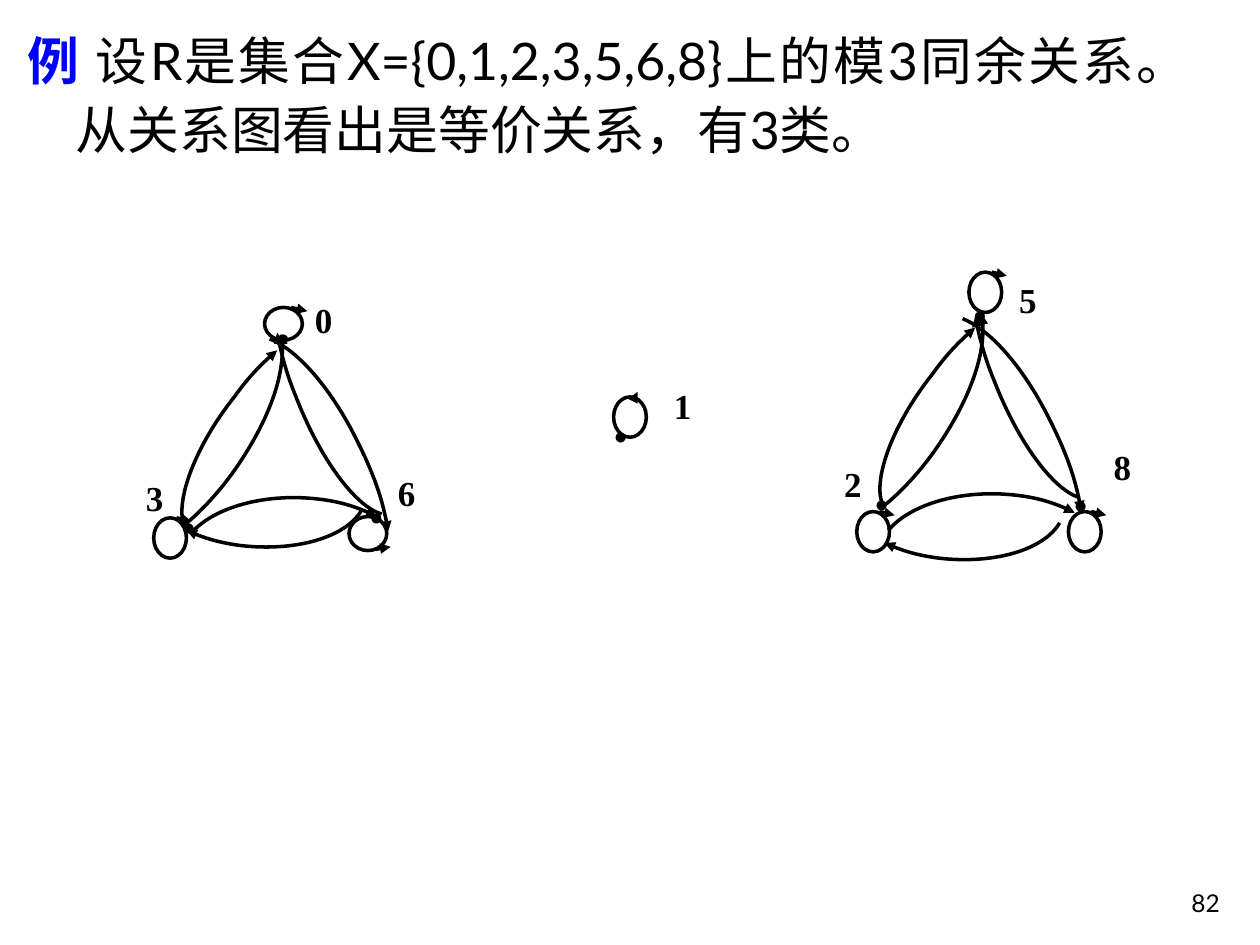
from lxml.etree import SubElement as Sub
from pptx import Presentation
from pptx.dml.color import RGBColor
from pptx.enum.lang import MSO_LANGUAGE_ID as Lang
from pptx.enum.shapes import MSO_SHAPE as Kind
from pptx.enum.text import MSO_ANCHOR as Anchor, MSO_AUTO_SIZE as Auto, PP_ALIGN as Align
from pptx.oxml.ns import qn
from pptx.util import Cm, Pt

BLACK, BLUE = "000000", "0000FF"
TOP = (0.18, 0, 0.3, 0.03)
WIDE = (0.21, 0, 0.34, 0.03)
LOW = (0.21, 0.26, 0.33, 0.24)
RISE = (0.17, 0, 0.19, -0.04)
EDGES = [
    [(0.4, 1.85), (0.56, 1.72), (0.73, 1.53), (0.87, 1.31), (1.1, 0.95), (1.22, 0.56), (1.17, 0.33)],
    [(0.4, 1.85), (0.33, 1.65), (0.49, 1.22), (0.8, 0.83), (0.9, 0.69), (1.02, 0.56), (1.14, 0.46)],
    [(0.45, 1.92), (0.61, 1.73), (0.95, 1.62), (1.32, 1.63), (1.55, 1.64), (1.76, 1.69), (1.93, 1.78)],
    [(1.81, 1.73), (1.68, 1.95), (1.28, 2.06), (0.85, 2.01), (0.7, 1.99), (0.55, 1.95), (0.42, 1.89)],
    [(1.08, 0.37), (1.31, 0.46), (1.58, 0.78), (1.78, 1.19), (1.9, 1.43), (1.99, 1.68), (2.02, 1.9)],
    [(1.97, 1.76), (1.76, 1.7), (1.48, 1.32), (1.29, 0.83), (1.22, 0.66), (1.17, 0.48), (1.14, 0.32)],
]
LEFT = [
    ("0", (1.34, 0), (1.04, 0.14), (1.04, 0.12, 0.3, 0.26), WIDE),
    ("3", (0, 1.41), (0.29, 1.64), (0.16, 1.79, 0.26, 0.32), TOP),
    ("6", (2, 1.37), (1.78, 1.56), (1.71, 1.78, 0.3, 0.27), LOW),
]
MID = [("1", (0.47, 0), (0, 0.24), (0.09, 0.15, 0.26, 0.32), RISE)]
RIGHT = [
    ("5", (1.39, 0), (1.03, 0.12), (1.09, 0, 0.26, 0.32), TOP),
    ("2", (0, 1.46), (0.25, 1.62), (0.2, 1.9, 0.26, 0.32), TOP),
    ("8", (2.14, 1.33), (1.83, 1.63), (1.88, 1.9, 0.26, 0.32), TOP),
]
EVEN = [(0, 0)] * 6
SHIFT = [(0.02, 0), (0, -0.02), (0, 0.13), (0, 0.26), (-0.04, 0), (0, 0.03)]


def size(val):
    """Turn inches into a length."""
    return Cm(val * 2.54)


def tint(code):
    """Turn a hex string into a colour."""
    return RGBColor.from_string(code)


def add_run(para, text, pts, face, code=BLACK, bold=False):
    """Add one styled run to a paragraph."""
    run = para.add_run()
    run.text = text
    font = run.font
    font.size, font.name, font.bold = Pt(pts), face, bold
    font.color.rgb = tint(code)
    font.language_id = Lang.SIMPLIFIED_CHINESE


def add_text(slide, box, text, pts, face, bold=True, align=Align.JUSTIFY):
    """Add a text box with one run and return its frame."""
    frame = slide.shapes.add_textbox(*map(size, box)).text_frame
    frame.word_wrap = True
    para = frame.paragraphs[0]
    para.alignment = align
    add_run(para, text, pts, face, bold=bold)
    return frame


def ink(shape):
    """Give a shape a plain black outline."""
    shape.shadow.inherit = False
    shape.fill.background()
    shape.line.color.rgb = tint(BLACK)
    shape.line.width = Pt(2)


def add_curve(slide, pts):
    """Draw a chain of cubic curves that ends in an arrowhead."""
    spots = [(size(x), size(y)) for x, y in pts]
    build = slide.shapes.build_freeform(*spots[0])
    build.add_line_segments(spots[1:], close=False)
    shape = build.convert_to_shape()
    ink(shape)
    route = next(shape.element.iter(qn("a:path")))
    lines = route.findall(qn("a:lnTo"))
    for at in range(0, len(lines), 3):
        cubic = Sub(route, qn("a:cubicBezTo"))
        for line in lines[at:at + 3]:
            cubic.append(line[0])
            route.remove(line)
    Sub(shape.line._get_or_add_ln(), qn("a:tailEnd"), type="triangle")


def add_node(slide, left, top, node):
    """Draw a dot, its loop and its label."""
    name, tag, dot, loop, arc = node
    add_text(slide, (left + dot[0], top + dot[1], 0.51, 0.98), "•", 20, "Arial")
    x, y = left + loop[0], top + loop[1]
    x0, y0, x1, y1 = arc
    add_curve(slide, [(x + x0 + (x1 - x0) * i / 3, y + y0 + (y1 - y0) * i / 3) for i in range(4)])
    ink(slide.shapes.add_shape(Kind.OVAL, *map(size, (x, y, *loop[2:]))))
    add_text(slide, (left + tag[0], top + tag[1], 0.79, 0.63), name, 20, "Times New Roman")


def add_graph(slide, left, top, nodes, shifts=()):
    """Draw the relation graph of one class."""
    for edge, (dx, dy) in zip(EDGES, shifts):
        add_curve(slide, [(left + x + dx, top + y + dy) for x, y in edge])
    for node in nodes:
        add_node(slide, left, top, node)


def add_body(slide, box):
    """Fill the body placeholder with the example."""
    body = slide.placeholders[1]
    body.left, body.top, body.width, body.height = map(size, box)
    frame = body.text_frame
    frame.auto_size = Auto.NONE
    para = frame.paragraphs[0]
    props = para._p.get_or_add_pPr()
    props.set("marL", str(size(0.38)))
    props.set("indent", str(-size(0.38)))
    Sub(props, qn("a:buNone"))
    para.alignment = Align.JUSTIFY
    para.line_spacing, para.space_before = 1.1, Pt(0)
    add_run(para, "例 ", 29.6, "Lato", BLUE, True)
    add_run(para, "设R是集合X={0,1,2,3,5,6,8}上的模3同余关系。从关系图看出是等价关系，有3类。", 29.6, "Lato")


def main():
    """Build and save the slide."""
    deck = Presentation()
    deck.slide_width, deck.slide_height = size(10), size(7.5)
    slide = deck.slides.add_slide(deck.slide_layouts[1])
    title = slide.shapes.title.element
    title.getparent().remove(title)
    add_body(slide, (0.12, 0.13, 9, 1.76))
    add_graph(slide, 1.06, 2.32, LEFT, EVEN)
    add_graph(slide, 4.78, 3, MID)
    add_graph(slide, 6.6, 2.16, RIGHT, SHIFT)
    page = add_text(slide, (7.7, 6.83, 2.08, 0.5), "82", 14, "Lato", False, Align.RIGHT)
    page.vertical_anchor = Anchor.BOTTOM
    deck.save("out.pptx")


if __name__ == "__main__":
    main()
